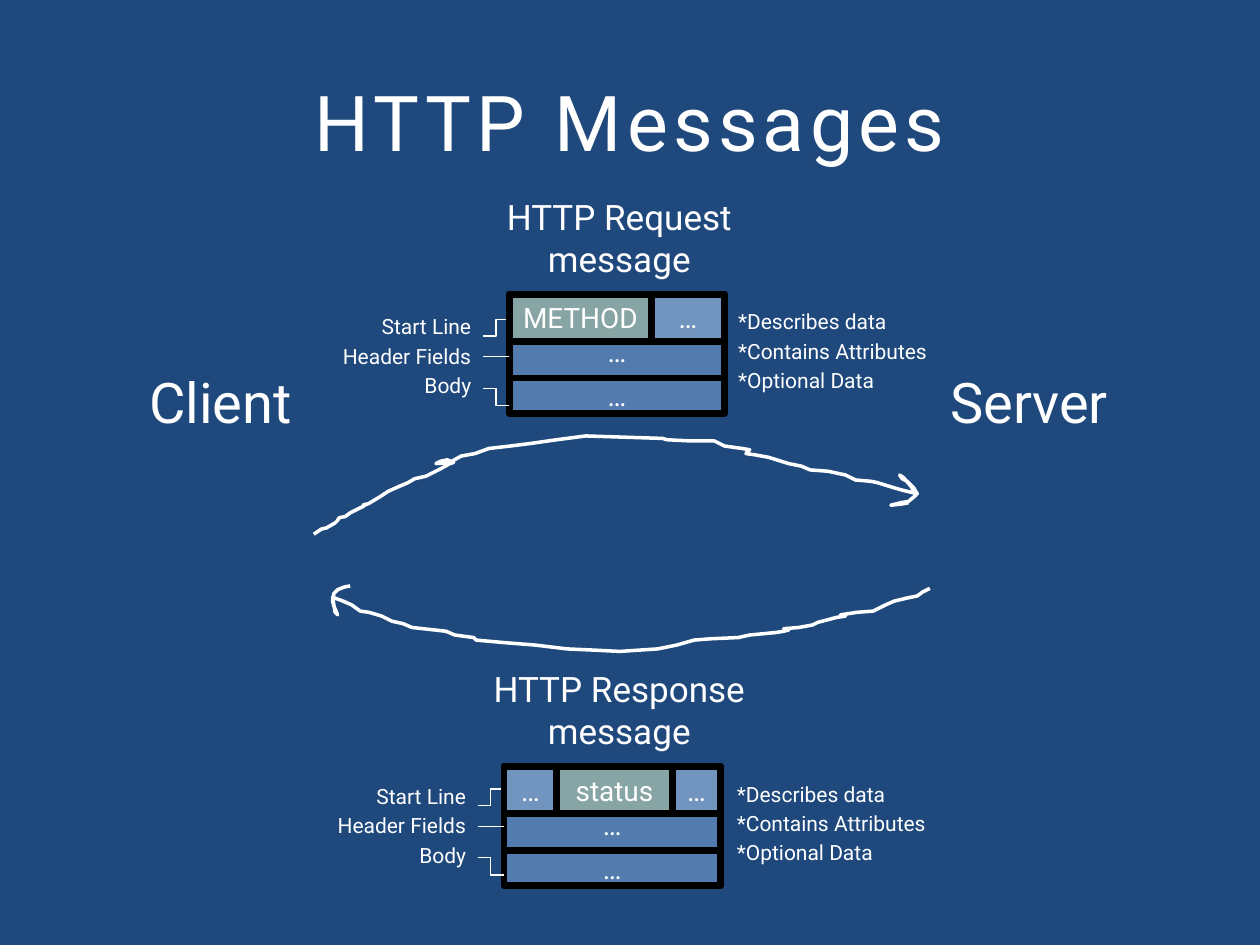
from lxml import etree
from pptx import Presentation
from pptx.dml.color import RGBColor
from pptx.enum.shapes import MSO_CONNECTOR, MSO_SHAPE
from pptx.enum.text import MSO_ANCHOR, PP_ALIGN
from pptx.oxml.ns import qn
from pptx.util import Pt

ROUNDED = MSO_SHAPE.ROUNDED_RECTANGLE
ELBOW, STRAIGHT = MSO_CONNECTOR.ELBOW, MSO_CONNECTOR.STRAIGHT
TOP, MIDDLE, BOTTOM = MSO_ANCHOR.TOP, MSO_ANCHOR.MIDDLE, MSO_ANCHOR.BOTTOM
LEFT, CENTER, RIGHT = PP_ALIGN.LEFT, PP_ALIGN.CENTER, PP_ALIGN.RIGHT

NAVY = RGBColor(0x1F, 0x49, 0x7D)
WHITE = RGBColor(0xFF, 0xFF, 0xFF)
BLACK = RGBColor(0, 0, 0)
BLUE = RGBColor(0x8E, 0xB4, 0xE3)
PALE_BLUE = RGBColor(0x95, 0xB3, 0xD7)
GREEN = RGBColor(0xC3, 0xD6, 0x9B)

FONT = "Roboto"
OPACITY = 47
HUNDREDTH_INCH = Pt(0.72)

TITLE = "HTTP Messages"
ENDPOINTS = [("Client", 57), ("Server", 519)]
PART_NAMES = ["Start Line", "Header Fields", "Body"]
PART_NOTES = ["*Describes data", "*Contains Attributes", "*Optional Data"]

MESSAGES = [
    {"heading": "HTTP Request message", "top": 168, "left": 291, "width": 123,
     "names_top": 175.7, "notes_top": 172.8, "notes_left": 414.7,
     "start_line": [("METHOD", 81.4, GREEN), ("…", 41.6, PALE_BLUE)]},
    {"heading": "HTTP Response message", "top": 438, "left": 288, "width": 123.8,
     "names_top": 444, "notes_top": 442.8, "notes_left": 414,
     "start_line": [("…", 30.2, PALE_BLUE), ("status", 66, GREEN), ("…", 27.6, PALE_BLUE)]},
]

REQUEST_ARROW = [
    (249, 424), (255, 420), (259, 419), (266, 415), (268, 413), (269, 411), (274, 410),
    (278, 407), (288, 402), (291, 400), (288, 401), (292, 400), (302, 394), (308, 390),
    (317, 386), (324, 383), (329, 380), (338, 378), (348, 373), (357, 368), (360, 367),
    (355, 365), (350, 366), (346, 368), (357, 367), (366, 362), (377, 360), (388, 356),
    (405, 354), (421, 352), (442, 349), (465, 346), (526, 348), (529, 349), (548, 350),
    (567, 350), (575, 354), (589, 356), (595, 357), (592, 360), (599, 361), (610, 363),
    (626, 368), (636, 370), (643, 373), (657, 374), (671, 377), (679, 381), (691, 382),
    (696, 383), (709, 387), (716, 389), (728, 392), (725, 387), (720, 382), (716, 380),
    (714, 377), (717, 379), (723, 386), (727, 393), (721, 398), (715, 399), (707, 401),
    (716, 400), (721, 399)]
RESPONSE_ARROW = [
    (738, 467), (732, 470), (728, 473), (718, 475), (723, 474), (710, 477), (703, 480),
    (693, 485), (680, 486), (667, 488), (671, 489), (664, 490), (649, 494), (645, 496),
    (634, 498), (622, 499), (626, 500), (622, 501), (616, 502), (595, 504), (586, 506),
    (564, 507), (551, 508), (537, 512), (522, 515), (507, 516.5), (492, 517), (472, 516.5),
    (450, 515), (425, 512.5), (400, 510), (378, 508), (376, 506), (361, 504), (354, 501),
    (327, 498), (320, 495), (311, 493), (303, 489), (293, 486), (286, 485), (279, 480),
    (272, 477), (264, 474), (266, 486), (268, 488), (265, 481), (264, 477), (265, 471),
    (268, 468), (273, 466), (278, 465)]


def write(shape, lines, size, align=CENTER, anchor=TOP):
    frame = shape.text_frame
    frame.word_wrap = True
    frame.vertical_anchor = anchor
    for index, line in enumerate(lines):
        paragraph = frame.paragraphs[0] if index == 0 else frame.add_paragraph()
        paragraph.text = line
        paragraph.alignment = align
        if index:
            paragraph.space_before = Pt(size * 0.2)
        font = paragraph.font
        font.name, font.size, font.color.rgb = FONT, Pt(size), WHITE
    return frame


def add_text(slide, lines, left, top, width, height, size, align=CENTER, anchor=TOP):
    box = slide.shapes.add_textbox(Pt(left), Pt(top), Pt(width), Pt(height))
    return write(box, lines, size, align, anchor)


def add_cell(slide, text, left, top, width, height, color, anchor=MIDDLE):
    cell = slide.shapes.add_shape(ROUNDED, Pt(left), Pt(top), Pt(width), Pt(height))
    cell.adjustments[0] = 0
    cell.shadow.inherit = False
    cell.fill.solid()
    cell.fill.fore_color.rgb = color
    color_xml = cell._element.spPr.find(qn("a:solidFill"))[0]
    etree.SubElement(color_xml, qn("a:alpha")).set("val", str(OPACITY * 1000))
    cell.line.color.rgb = BLACK
    cell.line.width = Pt(4)
    return write(cell, [text], 16, CENTER, anchor)


def add_leader(slide, kind, left, y_from, y_to):
    leader = slide.shapes.add_connector(kind, Pt(left), Pt(y_from), Pt(left + 15.1), Pt(y_to))
    leader.line.color.rgb = WHITE
    leader.line.width = Pt(0.75)
    etree.SubElement(leader._element.spPr, qn("a:effectLst"))


def add_arrow(slide, points):
    builder = slide.shapes.build_freeform(*points[0], scale=1 / (1 / HUNDREDTH_INCH))
    builder.add_line_segments(points[1:], close=False)
    arrow = builder.convert_to_shape()
    arrow.shadow.inherit = False
    arrow.fill.background()
    arrow.line.color.rgb = WHITE
    arrow.line.width = Pt(2)


def add_message(slide, message):
    top, left, width = message["top"], message["left"], message["width"]
    add_text(slide, [message["heading"]], 257.8, top - 60, 192.2, 41.8, 20)

    header = add_cell(slide, "…", left, top, width, 48, BLUE, BOTTOM)
    header.margin_bottom = Pt(5.4)
    add_cell(slide, "…", left, top + 48, width, 20.2, BLUE)

    names_top = message["names_top"]
    add_text(slide, PART_NAMES, left - 116.8, names_top, 102.2, 73.4, 12, RIGHT)
    for kind, y_from, y_to in [(ELBOW, 16.3, 7), (STRAIGHT, 28.2, 28.2), (ELBOW, 46.2, 56)]:
        add_leader(slide, kind, left - 15.1, names_top + y_from, names_top + y_to)
    add_text(slide, PART_NOTES, message["notes_left"], message["notes_top"],
             156.2, 73.4, 12, LEFT)

    cell_left = left
    for text, cell_width, color in message["start_line"]:
        add_cell(slide, text, cell_left, top, cell_width, 27, color)
        cell_left += cell_width


def main():
    deck = Presentation()
    deck.slide_width, deck.slide_height = Pt(720), Pt(540)
    slide = deck.slides.add_slide(deck.slide_layouts[6])
    slide.background.fill.solid()
    slide.background.fill.fore_color.rgb = NAVY

    title = add_text(slide, [TITLE], 0, 24, 720, 90, 44, CENTER, MIDDLE)
    title.paragraphs[0].runs[0].font._element.set("spc", "300")
    for name, left in ENDPOINTS:
        add_text(slide, [name], left, 206.6, 138.2, 41.8, 32)
    for points in (REQUEST_ARROW, RESPONSE_ARROW):
        add_arrow(slide, points)
    for message in MESSAGES:
        add_message(slide, message)

    deck.save("out.pptx")


if __name__ == "__main__":
    main()
